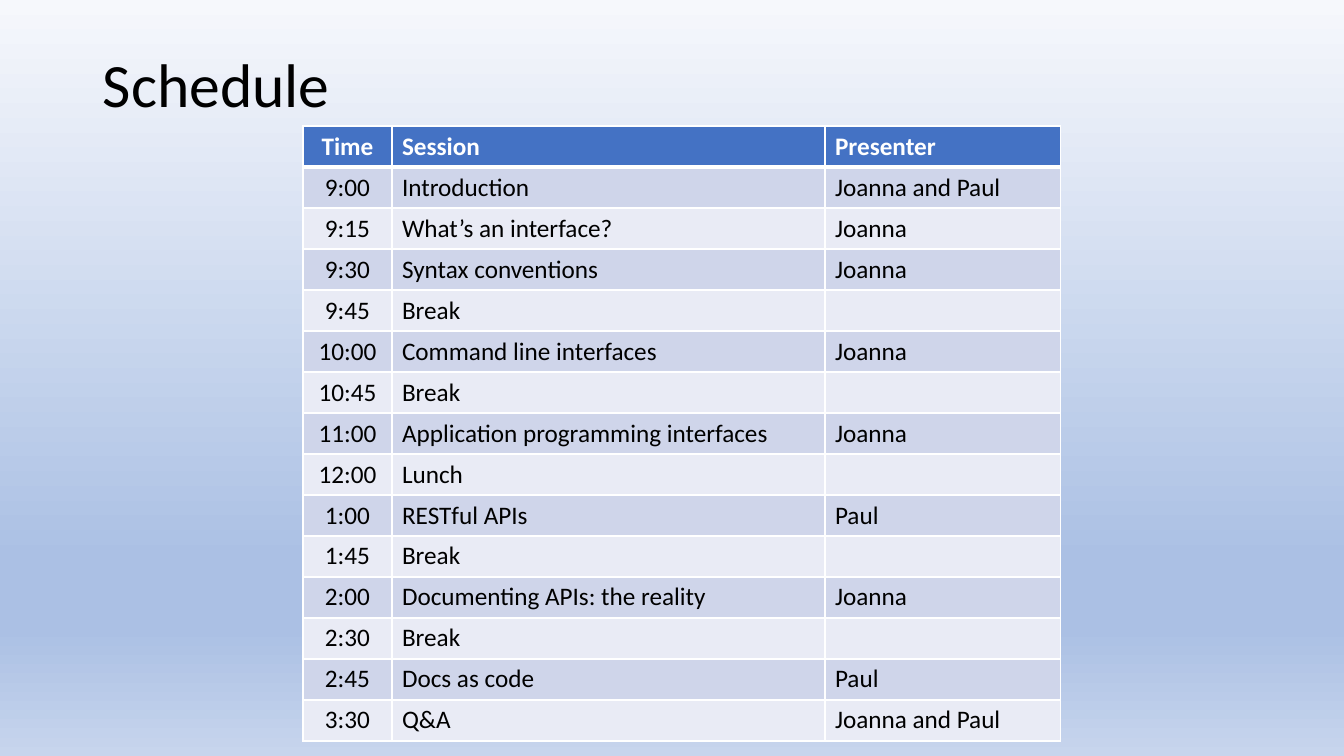
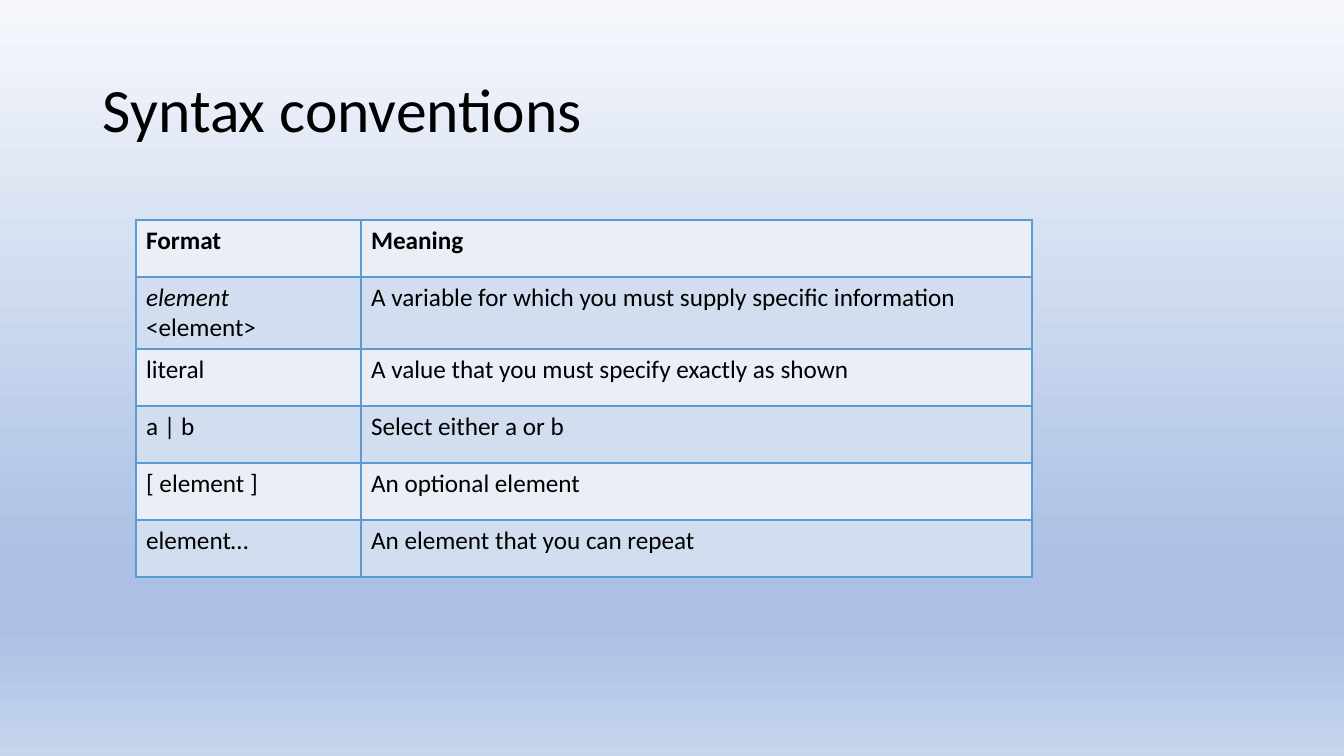
"""Builds a schedule slide and a syntax conventions slide on a shared gradient background."""
from lxml.etree import SubElement
from pptx import Presentation
from pptx.dml.color import RGBColor
from pptx.enum.text import MSO_ANCHOR, PP_ALIGN
from pptx.oxml.ns import qn
from pptx.util import Pt

PX = 12192000 / 1344
FONT = "Calibri"
BLACK, WHITE = "000000", "FFFFFF"
GRADIENT = [(0, "F6F8FC"), (74, "ABC0E4"), (83, "ABC0E4"), (100, "C7D5ED")]


def px(*lengths):
    return [round(n * PX) for n in lengths]


def add_run(p, text, size, color, bold=False, italic=False):
    r = p.add_run()
    r.text = text
    r.font.name, r.font.size = FONT, Pt(size)
    r.font.bold, r.font.italic = bold, italic
    r.font.color.rgb = RGBColor.from_string(color)


SCHEDULE = [
    ("Time", "Session", "Presenter"),
    ("9:00", "Introduction", "Joanna and Paul"),
    ("9:15", "What’s an interface?", "Joanna"),
    ("9:30", "Syntax conventions", "Joanna"),
    ("9:45", "Break", ""),
    ("10:00", "Command line interfaces", "Joanna"),
    ("10:45", "Break", ""),
    ("11:00", "Application programming interfaces", "Joanna"),
    ("12:00", "Lunch", ""),
    ("1:00", "RESTful APIs", "Paul"),
    ("1:45", "Break", ""),
    ("2:00", "Documenting APIs: the reality", "Joanna"),
    ("2:30", "Break", ""),
    ("2:45", "Docs as code", "Paul"),
    ("3:30", "Q&A", "Joanna and Paul"),
]
SYNTAX = [
    ("Format", "Meaning"),
    ("element\n<element>", "A variable for which you must supply specific information"),
    ("literal", "A value that you must specify exactly as shown"),
    ("a | b", "Select either a or b"),
    ("[ element ]", "An optional element"),
    ("element…", "An element that you can repeat"),
]
SLIDES = [
    dict(title="Schedule", title_top=10, spacing=1.0, rows=SCHEDULE, at=(303, 126),
         cols=[89, 433, 236], heights=[41] * 15, head_fill="4472C4", head_color=WHITE,
         bands=["E9EBF5", "CFD5EA"], border=WHITE, head_rule=3, center_first=True),
    dict(title="Syntax conventions", title_top=40, spacing=0.9, rows=SYNTAX, at=(136, 220),
         cols=[225, 671], heights=[57, 72, 57, 57, 57, 57], head_fill="EAEFF7",
         head_color=BLACK, bands=["EAEFF7", "D2DEEF"], border="5B9BD5", head_rule=1,
         center_first=False),
]

prs = Presentation()
prs.slide_width, prs.slide_height = px(1344, 756)

master = prs.slide_master
fill = master.background.fill
fill.gradient()
fill.gradient_angle = 270
stops = master.element.find(".//" + qn("p:bg")).find(".//" + qn("a:gsLst"))
stops.clear()
for percent, color in GRADIENT:
    gs = SubElement(stops, qn("a:gs"), pos=str(percent * 1000))
    SubElement(gs, qn("a:srgbClr"), val=color)

for d in SLIDES:
    s = prs.slides.add_slide(prs.slide_layouts[6])
    tf = s.shapes.add_textbox(*px(93, d["title_top"], 1159, 146)).text_frame
    tf.word_wrap = True
    tf.vertical_anchor = MSO_ANCHOR.MIDDLE
    p = tf.paragraphs[0]
    p.line_spacing = d["spacing"]
    add_run(p, d["title"], 44, BLACK)

    rows, cols, heights = d["rows"], d["cols"], d["heights"]
    size = px(sum(cols), sum(heights))
    table = s.shapes.add_table(len(rows), len(cols), *px(*d["at"]), *size).table
    table.horz_banding = False
    for column, width in zip(table.columns, px(*cols)):
        column.width = width
    for row, height in zip(table.rows, px(*heights)):
        row.height = height

    for i, texts in enumerate(rows):
        head = i == 0
        for j, text in enumerate(texts):
            cell = table.cell(i, j)
            tc_pr = cell._tc.get_or_add_tcPr()
            for side in "LRTB":
                on_rule = (i, side) in [(0, "B"), (1, "T")]
                weight = d["head_rule"] if on_rule else 1
                ln = SubElement(tc_pr, qn("a:ln" + side), w=str(Pt(weight)))
                solid = SubElement(ln, qn("a:solidFill"))
                SubElement(solid, qn("a:srgbClr"), val=d["border"])
            cell.fill.solid()
            cell.fill.fore_color.rgb = RGBColor.from_string(
                d["head_fill"] if head else d["bands"][i % 2])
            p = cell.text_frame.paragraphs[0]
            if d["center_first"] and j == 0:
                p.alignment = PP_ALIGN.CENTER
            lines = text.split("\n") if text else []
            for n, line in enumerate(lines):
                if n:
                    p.add_line_break()
                add_run(p, line, 18, d["head_color"] if head else BLACK,
                        bold=head, italic=n < len(lines) - 1)

prs.save("out.pptx")
